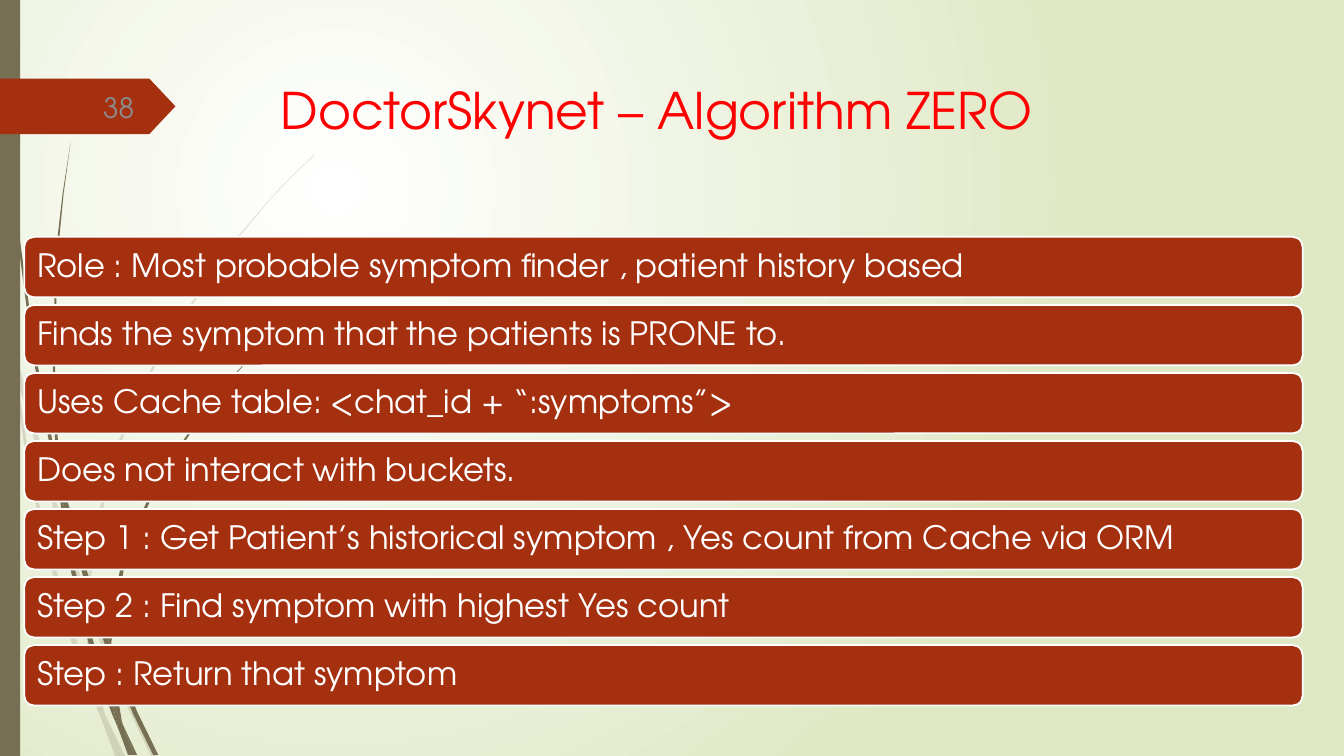
from dataclasses import dataclass

import lxml.etree
import pptx
import pptx.dml.color
import pptx.enum.shapes
import pptx.enum.text
import pptx.oxml.ns
import pptx.util

Inches = pptx.util.Inches
Pt = pptx.util.Pt
RGB = pptx.dml.color.RGBColor.from_string
qn = pptx.oxml.ns.qn
Preset = pptx.enum.shapes.MSO_SHAPE
Align = pptx.enum.text.PP_ALIGN
Anchor = pptx.enum.text.MSO_ANCHOR


@dataclass(frozen=True)
class Theme:
    """Colours and type sizes of the slide."""
    font: str = "TeX Gyre Adventor"
    olive: str = "766F54"
    rust: str = "A53010"
    white: str = "FFFFFF"
    pale_green: str = "DFE8C4"
    title_red: str = "FF0000"
    number_grey: str = "8C8C8C"
    title_size: int = 36
    number_size: int = 20
    bar_size: int = 23


THEME = Theme()

FAINT_WISPS = [
    [(.11, 3.5), (.09, 3.22), (0, 2.82), (0, 2.99), (.1, 3.44)],
    [(.58, 5.22), (.84, 5.99), (.85, 5.86), (.62, 5.2), (.14, 3.45), (.17, 3.76)],
    [(.92, 6.07), (.88, 5.96), (.88, 6.1), (1.23, 6.94), (1.5, 7.5), (1.55, 7.5),
     (1.27, 6.92)],
    [(1.19, 7.5), (1.24, 7.5), (1.05, 7.11)],
    [(.93, 6.83), (.7, 6.19), (.31, 4.69), (.17, 3.76), (.11, 3.5), (.28, 4.7),
     (.65, 6.21), (.92, 6.93), (1.01, 7.14), (.99, 7.07)],
    [(.84, 5.99), (.87, 6.46), (.93, 6.83), (.96, 6.92), (1.05, 7.11), (1.03, 7.06),
     (.91, 6.46), (.88, 6.1), (.88, 6.08)],
    [(.88, 5.84), (1.1, 4.62), (1.6, 3.49), (2.29, 2.45), (2.68, 1.98), (2.9, 1.75),
     (3.12, 1.54), (3.12, 1.53), (2.89, 1.75), (2.68, 1.97), (2.28, 2.44), (1.58, 3.48),
     (1.07, 4.61), (.85, 5.84), (.85, 5.86), (.88, 5.96)],
    [(1.01, 7.14), (1.14, 7.5), (1.19, 7.5)],
    [(.96, 6.92), (.93, 6.83), (.99, 7.07), (1.01, 7.14), (1.19, 7.5), (1.05, 7.11)],
]

SOLID_WISPS = [
    [(.07, 1.1), (.17, 2.33), (.33, 3.55), (.56, 4.77), (.57, 4.81), (.55, 4.57),
     (.55, 4.53), (.36, 3.55), (.19, 2.32), (.08, 1.09), (.05, .48), (.04, 0),
     (.03, 0), (.04, .48)],
    [(.88, 5.92), (1.06, 6.45), (1.06, 6.31), (.93, 5.9), (.6, 4.72), (.64, 5.05)],
    [(1.13, 6.49), (1.1, 6.41), (1.11, 6.56), (1.32, 7.08), (1.52, 7.49), (1.57, 7.49),
     (1.36, 7.06)],
    [(1.1, 6.91), (.98, 6.57), (.72, 5.56), (.64, 5.05), (.57, 4.77), (.68, 5.57),
     (.93, 6.59), (1.11, 7.08), (1.17, 7.22), (1.16, 7.17)],
    [(.6, 4.72), (.58, 4.53), (.54, 3.49), (.58, 2.45), (.63, 1.93), (.7, 1.41),
     (.62, 1.93), (.56, 2.45), (.52, 3.49), (.55, 4.49)],
    [(1.33, 7.49), (1.36, 7.49), (1.22, 7.19)],
    [(.57, 4.77), (.64, 5.05), (.6, 4.72), (.55, 4.49), (.55, 4.53)],
    [(1.11, 6.33), (1.25, 5.52), (1.58, 4.76), (2.05, 4.06), (2.31, 3.74), (2.45, 3.59),
     (2.61, 3.44), (2.6, 3.44), (2.45, 3.58), (2.31, 3.73), (2.04, 4.05), (1.56, 4.74),
     (1.22, 5.51), (1.06, 6.31), (1.1, 6.41)],
    [(1.17, 7.22), (1.27, 7.49), (1.31, 7.49)],
    [(1.06, 6.45), (1.1, 6.91), (1.16, 7.06), (1.22, 7.19), (1.21, 7.16), (1.11, 6.56),
     (1.09, 6.51)],
    [(1.06, 6.45), (1.09, 6.51), (1.11, 6.56), (1.1, 6.41), (1.06, 6.31)],
    [(1.16, 7.06), (1.1, 6.91), (1.16, 7.17), (1.17, 7.22), (1.3, 7.49), (1.33, 7.49),
     (1.22, 7.19)],
]

STATEMENTS = [
    "Role : Most probable symptom finder , patient history based",
    "Finds the symptom that the patients is PRONE to.",
    "Uses Cache table: <chat_id + “:symptoms”>",
    "Does not interact with buckets.",
    "Step 1 : Get Patient’s historical symptom , Yes count from Cache via ORM",
    "Step 2 : Find symptom with highest Yes count",
    "Step : Return that symptom",
]


def paint(shape, color):
    """Give a shape a plain fill with no outline or shadow."""
    shape.shadow.inherit = False
    shape.fill.solid()
    shape.fill.fore_color.rgb = RGB(color)
    shape.line.fill.background()


def write(shape, text, size, color, align, anchor):
    """Put one formatted paragraph into a shape and return it."""
    frame = shape.text_frame
    frame.word_wrap = True
    frame.auto_size = pptx.enum.text.MSO_AUTO_SIZE.NONE
    frame.vertical_anchor = anchor
    frame.text = text
    paragraph = frame.paragraphs[0]
    paragraph.alignment = align
    paragraph.font.name = THEME.font
    paragraph.font.size = Pt(size)
    paragraph.font.color.rgb = RGB(color)
    return paragraph


def add_background(slide):
    """Fill the background with a circular glow."""
    fill = slide.background.fill
    fill.gradient()
    for stop, color in zip(fill.gradient_stops, (THEME.white, THEME.pale_green)):
        stop.color.rgb = RGB(color)
    gradient = slide.element.find(".//" + qn("a:gradFill"))
    linear = gradient.find(qn("a:lin"))
    glow = lxml.etree.Element(qn("a:path"), {"path": "circle"})
    lxml.etree.SubElement(glow, qn("a:fillToRect"),
                          l="50000", t="50000", r="100000", b="100000")
    gradient.replace(linear, glow)


def add_wisps(slide, left, top, outlines, opacity):
    """Draw a bundle of grass-like strands from the given corner."""
    for outline in outlines:
        points = [(Inches(left + x), Inches(top + y)) for x, y in outline]
        builder = slide.shapes.build_freeform(*points[0])
        builder.add_line_segments(points[1:])
        wisp = builder.convert_to_shape()
        paint(wisp, THEME.olive)
        if opacity < 100:
            color = wisp.fill._xPr.find(".//" + qn("a:srgbClr"))
            lxml.etree.SubElement(color, qn("a:alpha"), val=str(opacity * 1000))


def add_side_band(slide, left, top, width, height):
    """Draw the band along the slide edge."""
    band = slide.shapes.add_shape(
        Preset.RECTANGLE, Inches(left), Inches(top), Inches(width), Inches(height))
    paint(band, THEME.olive)


def add_number_tag(slide, left, top, width, height, number):
    """Draw the arrow tag with the slide number."""
    tag = slide.shapes.add_shape(
        Preset.PENTAGON, Inches(left), Inches(top), Inches(width), Inches(height))
    tag.adjustments[0] = 0.47
    paint(tag, THEME.rust)
    label = slide.shapes.add_textbox(
        Inches(left + 0.58), Inches(top + 0.08), Inches(0.85), Inches(0.4))
    write(label, number, THEME.number_size, THEME.number_grey, Align.RIGHT, Anchor.MIDDLE)


def add_title(slide, left, top, width, height, text):
    """Place and format the title placeholder."""
    title = slide.shapes.title
    title.left, title.top = Inches(left), Inches(top)
    title.width, title.height = Inches(width), Inches(height)
    write(title, text, THEME.title_size, THEME.title_red, Align.CENTER, Anchor.TOP)


def add_statement_bars(slide, left, top, width, height, statements):
    """Stack one rounded bar per statement, evenly over the box."""
    bar_height = 0.6
    pitch = (height - bar_height) / (len(statements) - 1)
    for index, statement in enumerate(statements):
        bar = slide.shapes.add_shape(
            Preset.ROUNDED_RECTANGLE, Inches(left), Inches(top + index * pitch),
            Inches(width), Inches(bar_height))
        paint(bar, THEME.rust)
        bar.line.color.rgb = RGB(THEME.white)
        bar.line.width = Pt(1.25)
        paragraph = write(bar, statement, THEME.bar_size, THEME.white,
                          Align.LEFT, Anchor.MIDDLE)
        paragraph.line_spacing = 0.9


def main():
    """Build the slide and save it."""
    presentation = pptx.Presentation()
    presentation.slide_width, presentation.slide_height = Inches(13.33), Inches(7.5)
    slide = presentation.slides.add_slide(presentation.slide_layouts[5])
    add_background(slide)
    add_wisps(slide, 0, 0, FAINT_WISPS, 20)
    add_wisps(slide, 0, 0, SOLID_WISPS, 100)
    add_side_band(slide, 0, 0, 0.2, 7.5)
    add_number_tag(slide, 0, 0.78, 1.74, 0.55, "38")
    add_title(slide, 2.58, 0.73, 8, 1.27, "DoctorSkynet – Algorithm ZERO ")
    add_statement_bars(slide, 0.24, 2.35, 12.68, 4.65, STATEMENTS)
    presentation.save("out.pptx")


if __name__ == "__main__":
    main()
